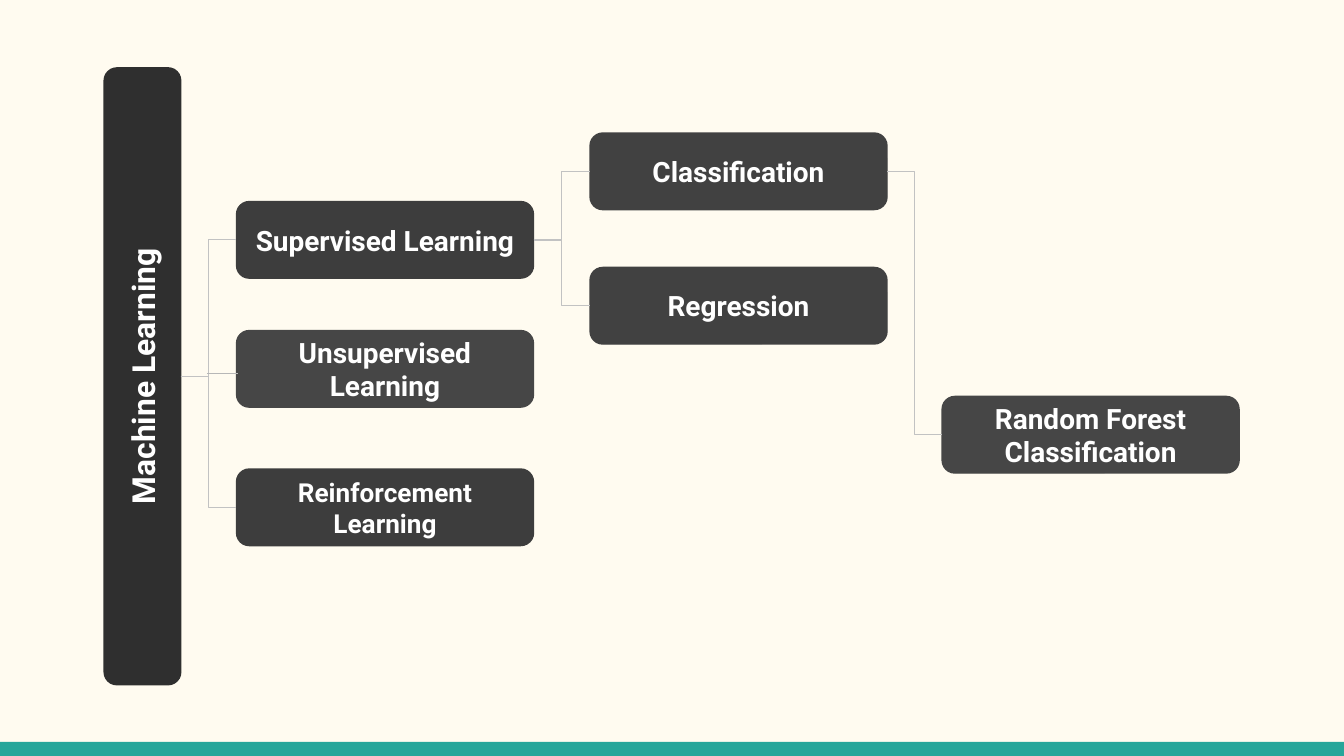
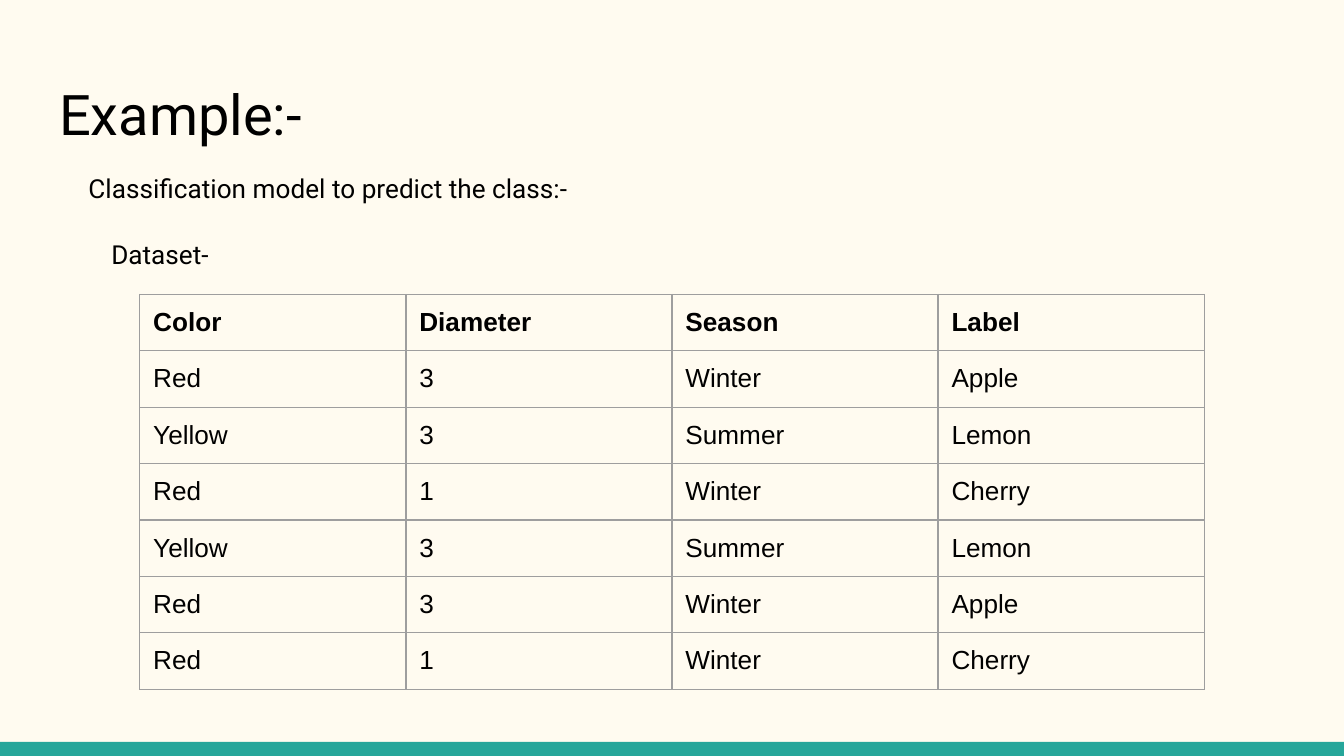
from dataclasses import dataclass

from pptx import Presentation
from pptx.dml.color import RGBColor
from pptx.enum.shapes import MSO_CONNECTOR as Connector, MSO_SHAPE as Preset
from pptx.enum.text import MSO_ANCHOR as Anchor, MSO_AUTO_SIZE as AutoSize, PP_ALIGN as Align
from pptx.oxml import parse_xml
from pptx.oxml.ns import nsdecls
from pptx.shapes.autoshape import Shape
from pptx.shapes.connector import Connector as Link
from pptx.slide import Slide
from pptx.text.text import TextFrame
from pptx.util import Inches, Pt

COLORS = {
    "page": "FFFBF0", "band": "26A69A", "ink": "000000", "white": "FFFFFF",
    "root": "2F2F2F", "branch": "3D3D3D", "task": "414141", "leaf": "464646",
    "link": "C2C2C2", "stub": "B7B7B7", "grid": "9E9E9E",
}
FONT, TABLE_FONT = "Roboto", "Arial"
TITLE_ONLY, BLANK = 5, 6
PAGE_WIDTH = Inches(10)
PAGE_HEIGHT = PAGE_WIDTH * 9 // 16
INSET = Inches(0.1)
THIN = Pt(0.75)

# Connection sites of a rounded rectangle
LEFT, BOTTOM, RIGHT = 1, 2, 3

NODE_WIDTH, NODE_HEIGHT = 2.21, 0.57
LEVEL_LEFTS = (1.76, 4.39, 7.01)
ROOT_LENGTH, ROOT_CENTER = 4.59, (1.06, 2.8)


@dataclass(frozen=True)
class Node:
    text: str
    level: int
    top: float
    color: str
    size: int = 15


@dataclass(frozen=True)
class Note:
    text: str
    left: float
    top: float
    width: float


NODES = (
    Node("Supervised Learning", 0, 1.5, "branch"),
    Node("Unsupervised Learning", 0, 2.46, "leaf"),
    Node("Reinforcement Learning", 0, 3.49, "branch", 14),
    Node("Classification", 1, 0.99, "task"),
    Node("Regression", 1, 1.99, "task"),
    Node("Random Forest Classification", 2, 2.95, "leaf"),
)
ROOT_LINKS = ("Reinforcement Learning", "Supervised Learning")
NODE_LINKS = (
    ("Supervised Learning", "Classification"),
    ("Supervised Learning", "Regression"),
    ("Classification", "Random Forest Classification"),
)

NOTES = (
    Note("Classification model to predict the class:-", 0.56, 1.18, 8.03),
    Note("Dataset-", 0.73, 1.67, 2.5),
)
DATASET = (
    ("Color", "Diameter", "Season", "Label"),
    ("Red", "3", "Winter", "Apple"),
    ("Yellow", "3", "Summer", "Lemon"),
    ("Red", "1", "Winter", "Cherry"),
    ("Yellow", "3", "Summer", "Lemon"),
    ("Red", "3", "Winter", "Apple"),
    ("Red", "1", "Winter", "Cherry"),
)
COLUMN_WIDTH, ROW_HEIGHT = 1.98, 0.42


def rgb(name: str) -> RGBColor:
    return RGBColor.from_string(COLORS[name])


def write(frame: TextFrame, text: str, size: int, color: str = "ink", font: str = FONT,
          bold: bool = False, align: Align = Align.LEFT, anchor: Anchor = Anchor.TOP) -> None:
    frame.text = text
    frame_format = {
        "word_wrap": True, "auto_size": AutoSize.NONE, "vertical_anchor": anchor,
        "margin_left": INSET, "margin_right": INSET,
        "margin_top": INSET, "margin_bottom": INSET,
    }
    for name, value in frame_format.items():
        setattr(frame, name, value)
    style_text(frame, size, color, font, bold, align)


def style_text(frame: TextFrame, size: int, color: str, font: str,
               bold: bool, align: Align) -> None:
    para = frame.paragraphs[0]
    para.alignment = align
    span = para.runs[0]
    for name, value in {"size": Pt(size), "name": font, "bold": bold}.items():
        setattr(span.font, name, value)
    span.font.color.rgb = rgb(color)


def add_block(page: Slide, preset: Preset, left: float, top: float,
              width: float, height: float, color: str) -> Shape:
    block = page.shapes.add_shape(
        preset, Inches(left), Inches(top), Inches(width), Inches(height))
    block.shadow.inherit = False
    block.fill.solid()
    block.fill.fore_color.rgb = rgb(color)
    block.line.fill.background()
    return block


def add_node(page: Slide, text: str, left: float, top: float, width: float,
             color: str, size: int) -> Shape:
    box = add_block(page, Preset.ROUNDED_RECTANGLE, left, top, width, NODE_HEIGHT, color)
    box.line.color.rgb = rgb(color)
    box.line.width = THIN
    write(box.text_frame, text, size, "white", bold=True,
          align=Align.CENTER, anchor=Anchor.MIDDLE)
    return box


def add_line(page: Slide, kind: Connector, start: tuple[float, float],
             end: tuple[float, float], color: str) -> Link:
    link = page.shapes.add_connector(kind, *map(Inches, start + end))
    link.line.color.rgb = rgb(color)
    link.line.width = THIN
    link._element.spPr.append(parse_xml(f"<a:effectLst {nsdecls('a')}/>"))
    return link


def join(page: Slide, parent: Shape, site: int, child: Shape) -> Link:
    link = add_line(page, Connector.ELBOW, (0, 0), (1, 1), "link")
    link.begin_connect(parent, site)
    link.end_connect(child, LEFT)
    return link


def dress_master(deck: Presentation, page: Slide) -> None:
    """Give every slide the cream background and the bottom band."""
    master = deck.slide_master
    master.background.fill.solid()
    master.background.fill.fore_color.rgb = rgb("page")
    band = add_block(page, Preset.RECTANGLE, 0, 5.52, 10, 0.11, "band")
    band.element.nvSpPr.cNvPr.set("id", "50")
    master.shapes.element.append(band.element)


def build_tree(page: Slide) -> None:
    # Root bar, turned to read upwards
    center_x, center_y = ROOT_CENTER
    root = add_node(page, "Machine Learning", center_x - ROOT_LENGTH / 2,
                    center_y - NODE_HEIGHT / 2, ROOT_LENGTH, "root", 17)
    root.rotation = 270

    # Nodes by level
    boxes = {
        node.text: add_node(page, node.text, LEVEL_LEFTS[node.level], node.top,
                            NODE_WIDTH, node.color, node.size)
        for node in NODES
    }

    # Links; the turned root needs its visible right edge as start
    for child in ROOT_LINKS:
        link = join(page, root, BOTTOM, boxes[child])
        link.begin_x = Inches(center_x + NODE_HEIGHT / 2)
        link.begin_y = Inches(center_y)
    for parent, child in NODE_LINKS:
        join(page, boxes[parent], RIGHT, boxes[child])
    add_line(page, Connector.STRAIGHT, (1.54, 2.78), (1.77, 2.78), "stub")


def add_dataset(page: Slide) -> None:
    rows, columns = len(DATASET), len(DATASET[0])
    table = page.shapes.add_table(
        rows, columns, Inches(1.04), Inches(2.19),
        Inches(columns * COLUMN_WIDTH), Inches(rows * ROW_HEIGHT)).table
    table.first_row = table.horz_banding = False
    for row_index, values in enumerate(DATASET):
        for column_index, value in enumerate(values):
            cell = table.cell(row_index, column_index)
            for name in ("margin_left", "margin_right", "margin_top", "margin_bottom"):
                setattr(cell, name, INSET)
            cell.text = value
            style_text(cell.text_frame, 14, "ink", TABLE_FONT, row_index == 0, Align.LEFT)
            cell_format = cell._tc.get_or_add_tcPr()
            for side in ("lnL", "lnR", "lnT", "lnB"):
                cell_format.append(parse_xml(
                    f'<a:{side} {nsdecls("a")} w="{THIN}"><a:solidFill>'
                    f'<a:srgbClr val="{COLORS["grid"]}"/></a:solidFill></a:{side}>'))
            cell.fill.background()


def build_example(page: Slide) -> None:
    # Title
    title = page.shapes.title
    place = {"left": 0.34, "top": 0.49, "width": 9.32, "height": 0.67}
    for name, value in place.items():
        setattr(title, name, Inches(value))
    write(title.text_frame, "Example:-", 30)

    # Table and the lines above it
    add_dataset(page)
    for note in NOTES:
        box = page.shapes.add_textbox(
            Inches(note.left), Inches(note.top), Inches(note.width), Inches(0.41))
        write(box.text_frame, note.text, 14)


def main() -> None:
    deck = Presentation()
    deck.slide_width, deck.slide_height = PAGE_WIDTH, PAGE_HEIGHT
    tree_page = deck.slides.add_slide(deck.slide_layouts[BLANK])
    dress_master(deck, tree_page)
    build_tree(tree_page)
    build_example(deck.slides.add_slide(deck.slide_layouts[TITLE_ONLY]))
    deck.save("out.pptx")


if __name__ == "__main__":
    main()
